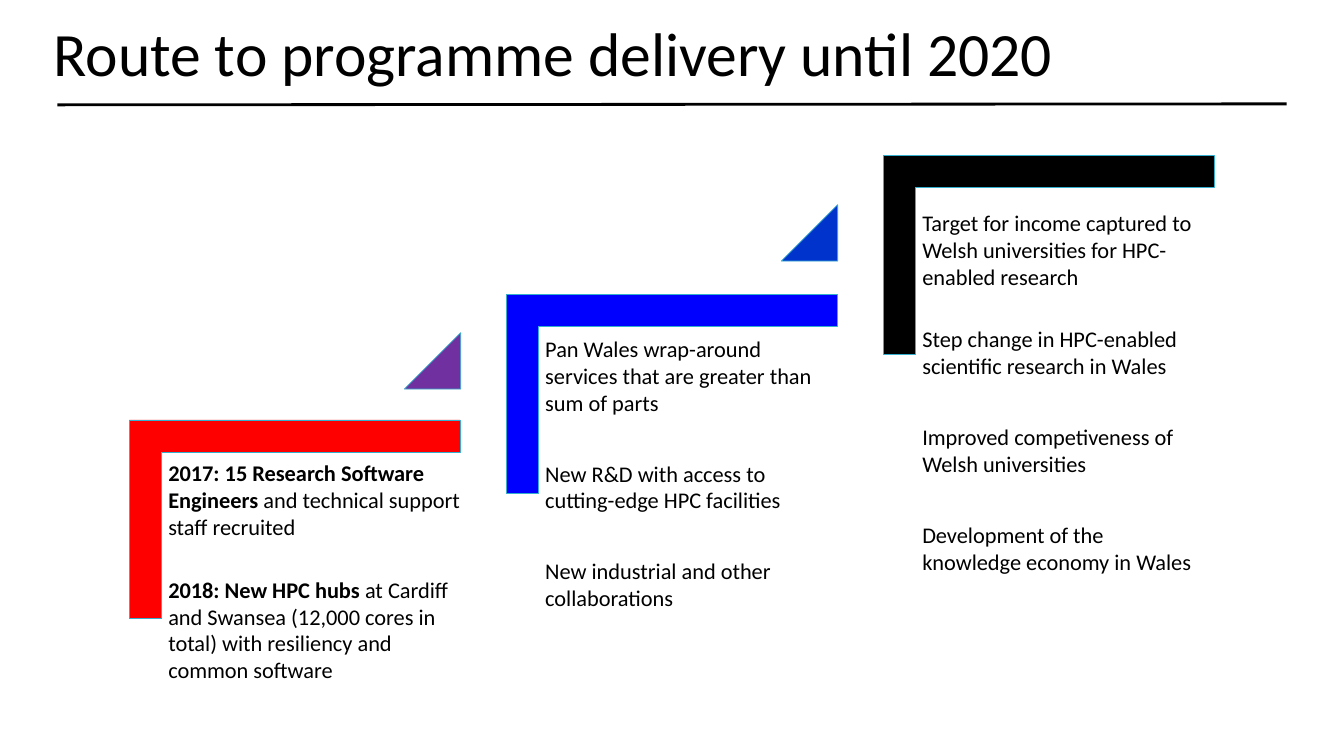
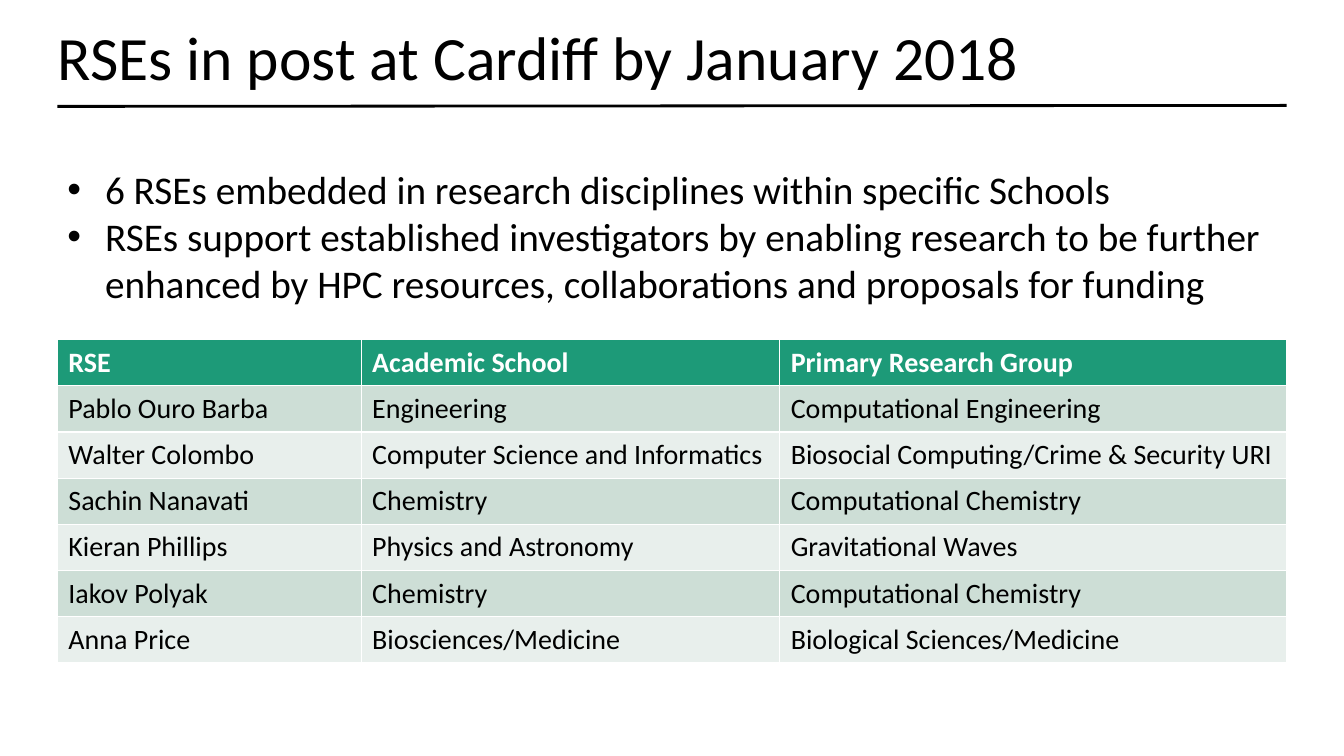
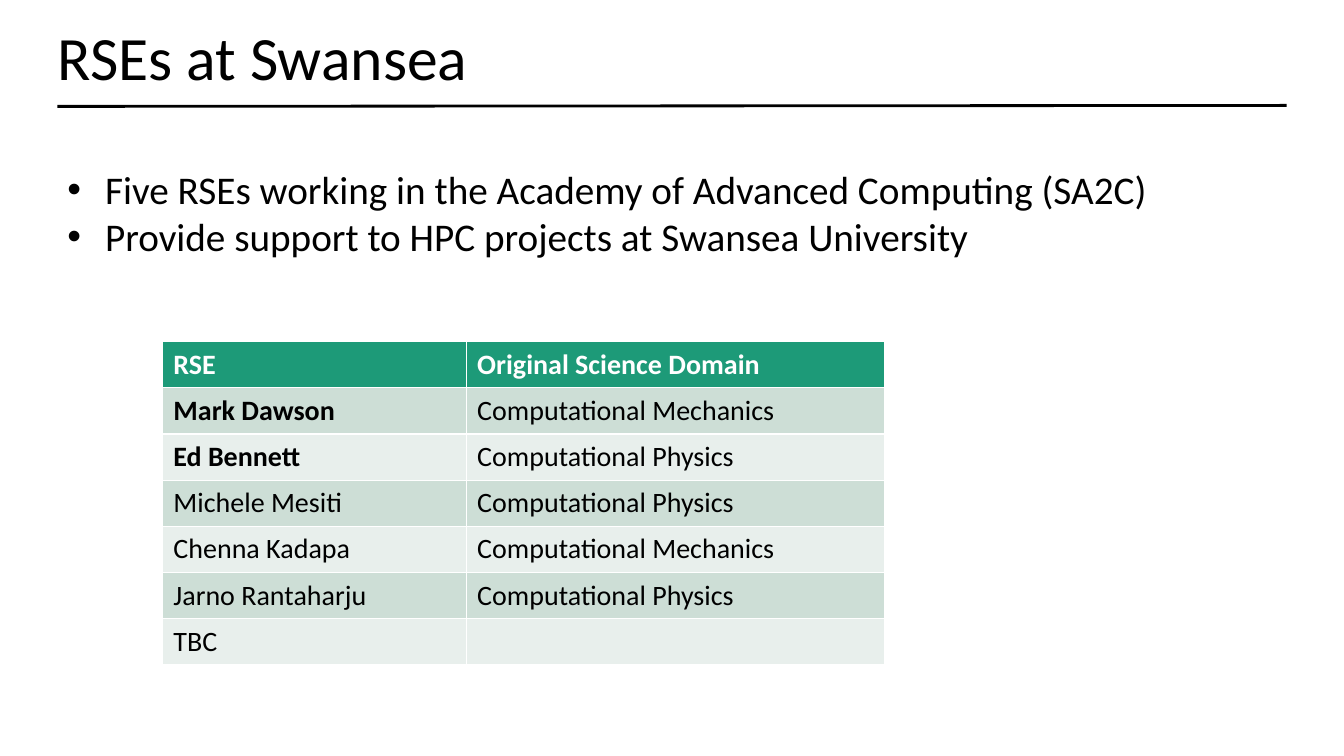
import lxml.etree
import pptx
import pptx.dml.color
import pptx.enum.shapes
import pptx.enum.text
import pptx.oxml.ns
import pptx.util

Pt = pptx.util.Pt
SHAPES = pptx.enum.shapes.MSO_SHAPE
FONT = "Calibri"
COLORS = {
    "ink": "000000",
    "paper": "FFFFFF",
    "outline": "36AFCE",
    "red": "FF0000",
    "blue": "0000FF",
    "purple": "7030A0",
    "navy": "0033CC",
    "header": "1D9A78",
    "band_dark": "CDDED6",
    "band_light": "E8EFEC",
}
MARGIN, CONTENT_WIDTH = 41, 878
ROW_HEIGHT = 33
BRACKET_WIDTH, BRACKET_HEIGHT = 236, 142
ARROW_SIZE = 40.3


def rgb(name):
    return pptx.dml.color.RGBColor.from_string(COLORS[name])


class Deck:
    def __init__(self):
        self.prs = pptx.Presentation()
        self.prs.slide_width, self.prs.slide_height = Pt(960), Pt(540)
        self.slide = None

    def style(self, paragraph, size, color="ink", bold=None):
        font = paragraph.font
        font.name, font.size, font.bold = FONT, Pt(size), bold
        font.color.rgb = rgb(color)

    def start(self, heading, box=(34, 13, 885, 61), rule_y=76):
        """Add a slide with its heading and the rule below it."""
        self.slide = self.prs.slides.add_slide(self.prs.slide_layouts[5])
        title = self.slide.shapes.title
        title.left, title.top, title.width, title.height = map(Pt, box)
        frame = title.text_frame
        frame.text = heading
        frame.vertical_anchor = pptx.enum.text.MSO_ANCHOR.MIDDLE
        frame.auto_size = pptx.enum.text.MSO_AUTO_SIZE.NONE
        line = frame.paragraphs[0]
        line.alignment = pptx.enum.text.PP_ALIGN.LEFT
        line.line_spacing = 0.9
        self.style(line, 44)
        self.rule(rule_y)

    def rule(self, y):
        rule = self.slide.shapes.add_connector(
            pptx.enum.shapes.MSO_CONNECTOR.STRAIGHT,
            Pt(MARGIN), Pt(y), Pt(MARGIN + CONTENT_WIDTH), Pt(y - 0.7))
        rule.line.color.rgb = rgb("ink")
        rule.line.width = Pt(2)
        lxml.etree.SubElement(rule._element.spPr, pptx.oxml.ns.qn("a:effectLst"))

    def shape(self, kind, left, top, width, height, fill):
        shape = self.slide.shapes.add_shape(kind, Pt(left), Pt(top), Pt(width), Pt(height))
        shape.shadow.inherit = False
        shape.fill.solid()
        shape.fill.fore_color.rgb = rgb(fill)
        shape.line.color.rgb = rgb("outline")
        shape.line.width = Pt(0.5)
        return shape

    def bracket(self, left, top, fill):
        """Draw a corner turned so that its arms run along the top and left."""
        shift = (BRACKET_WIDTH - BRACKET_HEIGHT) / 2
        corner = self.shape(SHAPES.CORNER, left + shift, top - shift,
                            BRACKET_HEIGHT, BRACKET_WIDTH, fill)
        corner.rotation = 90
        corner.adjustments[0] = corner.adjustments[1] = 0.161

    def arrow(self, left, top, fill):
        arrow = self.shape(SHAPES.ISOSCELES_TRIANGLE, left, top, ARROW_SIZE, ARROW_SIZE, fill)
        arrow.adjustments[0] = 1

    def text_box(self, left, top, width, height):
        box = self.slide.shapes.add_textbox(Pt(left), Pt(top), Pt(width), Pt(height))
        box.text_frame.word_wrap = True
        return box.text_frame

    def paragraphs(self, frame, count):
        return [frame.paragraphs[0]] + [frame.add_paragraph() for _ in range(count - 1)]

    def milestones(self, left, top, width, height, items):
        """Write (bold lead, text, space after) items."""
        frame = self.text_box(left, top, width, height)
        frame.margin_left = frame.margin_right = Pt(5)
        frame.margin_top = frame.margin_bottom = Pt(5)
        for paragraph, (lead, text, gap) in zip(self.paragraphs(frame, len(items)), items):
            paragraph.space_after = Pt(gap)
            self.style(paragraph, 16)
            if lead:
                run = paragraph.add_run()
                run.text = lead
                run.font.bold = True
            paragraph.add_run().text = text

    def bullets(self, height, items):
        frame = self.text_box(MARGIN, 114.5, CONTENT_WIDTH, height)
        for paragraph, text in zip(self.paragraphs(frame, len(items)), items):
            paragraph.text = text
            props = paragraph._p.get_or_add_pPr()
            props.set("marL", str(Pt(27)))
            props.set("indent", str(-Pt(27)))
            for tag, key, value in (("a:buFont", "typeface", "Arial"), ("a:buChar", "char", "•")):
                lxml.etree.SubElement(props, pptx.oxml.ns.qn(tag)).set(key, value)
            self.style(paragraph, 28)

    def table(self, left, top, widths, rows, bold_names=()):
        table = self.slide.shapes.add_table(
            len(rows), len(widths), Pt(left), Pt(top),
            Pt(sum(widths)), Pt(ROW_HEIGHT * len(rows))).table
        for column, width in zip(table.columns, widths):
            column.width = Pt(width)
        for r, row in enumerate(rows):
            table.rows[r].height = Pt(ROW_HEIGHT)
            fill = "header" if r == 0 else ("band_light", "band_dark")[r % 2]
            for c, text in enumerate(row):
                cell = table.cell(r, c)
                cell.text = text
                cell.margin_left = cell.margin_right = Pt(7.9)
                cell.margin_top = cell.margin_bottom = Pt(4.2)
                cell.fill.solid()
                cell.fill.fore_color.rgb = rgb(fill)
                self.style(cell.text_frame.paragraphs[0], 20,
                           "paper" if r == 0 else "ink", r == 0 or text in bold_names)


# bracket top, bracket fill, text top, text width, text height, (arrow top, fill), milestones
STAGES = [
    (300, "red", 323.3, 229.7, 186, (237.6, "purple"), [
        ("2017: 15 Research Software Engineers ", "and technical support staff recruited", 25.5),
        ("2018: New HPC hubs ", "at Cardiff and Swansea (12,000 cores in total) "
         "with resiliency and common software", 6),
    ]),
    (210.5, "blue", 234.3, 213, 211, (146.2, "navy"), [
        ("", "Pan Wales wrap-around services that are greater than sum of parts", 31.5),
        ("", "New R&D with access to cutting-edge HPC facilities", 31.5),
        ("", "New industrial and other collaborations", 6),
    ]),
    (111.2, "ink", 144.5, 213, 212, None, [
        ("", "Target for income captured to Welsh universities for HPC-enabled research", 25.5),
        ("", "Step change in HPC-enabled scientific research in Wales", 31.5),
        ("", "Improved competiveness of Welsh universities", 31.5),
        ("", "Development of the knowledge economy in Wales", 6),
    ]),
]
CARDIFF_RSES = [
    ("RSE", "Academic School", "Primary Research Group"),
    ("Pablo Ouro Barba", "Engineering", "Computational Engineering"),
    ("Walter Colombo", "Computer Science and Informatics",
     "Biosocial Computing/Crime & Security URI"),
    ("Sachin Nanavati", "Chemistry", "Computational Chemistry"),
    ("Kieran Phillips", "Physics and Astronomy", "Gravitational Waves"),
    ("Iakov Polyak", "Chemistry", "Computational Chemistry"),
    ("Anna Price", "Biosciences/Medicine", "Biological Sciences/Medicine"),
]
SWANSEA_RSES = [
    ("RSE", "Original Science Domain"),
    ("Mark Dawson", "Computational Mechanics"),
    ("Ed Bennett", "Computational Physics"),
    ("Michele Mesiti", "Computational Physics"),
    ("Chenna Kadapa", "Computational Mechanics"),
    ("Jarno Rantaharju", "Computational Physics"),
    ("TBC", ""),
]


def main():
    deck = Deck()

    deck.start("Route to programme delivery until 2020", (31, -11.5, 888, 104.4), 74.9)
    for step, (top, fill, text_top, width, height, arrow, items) in enumerate(STAGES):
        left = 92.5 + 269.3 * step
        deck.bracket(left, top, fill)
        deck.milestones(left + 22.7, text_top, width, height, items)
        if arrow:
            deck.arrow(left + 196.3, *arrow)

    deck.start("RSEs in post at Cardiff by January 2018")
    deck.table(MARGIN, 242.6, (217, 299, 362), CARDIFF_RSES)
    deck.bullets(109, [
        "6 RSEs embedded in research disciplines within specific Schools",
        "RSEs support established investigators by enabling research to be further "
        "enhanced by HPC resources, collaborations and proposals for funding",
    ])

    deck.start("RSEs at Swansea")
    deck.table(116, 244, (217, 299), SWANSEA_RSES, ("Mark Dawson", "Ed Bennett"))
    deck.bullets(75, [
        "Five RSEs working in the Academy of Advanced Computing (SA2C)",
        "Provide support to HPC projects at Swansea University",
    ])

    deck.prs.save("out.pptx")


if __name__ == "__main__":
    main()
